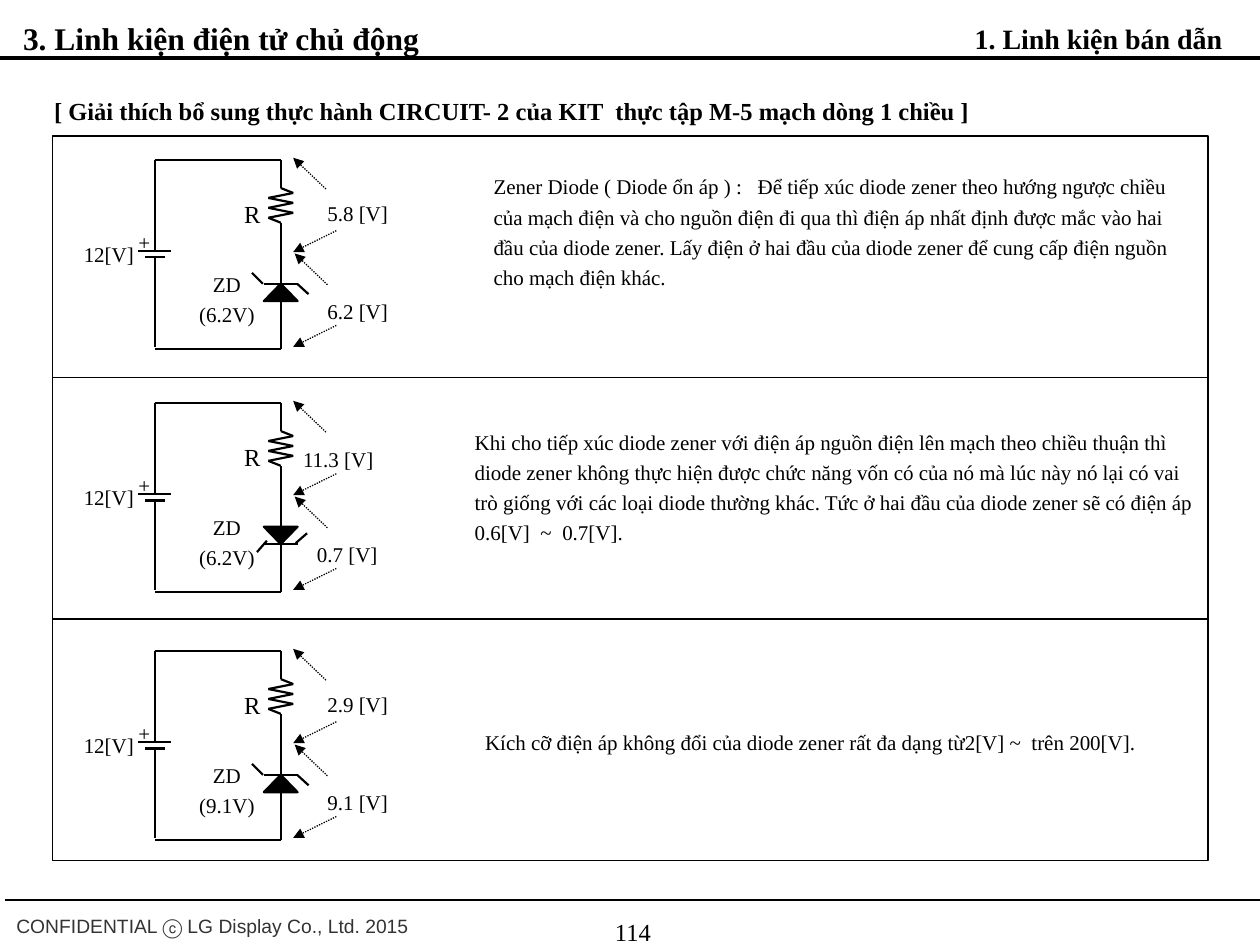
from itertools import pairwise

from pptx import Presentation
from pptx.dml.color import RGBColor
from pptx.enum.dml import MSO_LINE
from pptx.enum.shapes import MSO_CONNECTOR, MSO_SHAPE
from pptx.enum.text import MSO_ANCHOR, MSO_AUTO_SIZE, PP_ALIGN
from pptx.oxml.ns import qn
from pptx.util import Cm, Pt
from lxml.etree import SubElement

BLACK = RGBColor(0, 0, 0)
GREY = RGBColor(0x33, 0x33, 0x33)
SERIF = "Times New Roman"

# Content
TITLE = "3. Linh kiện điện tử chủ động"
TOPIC = "1. Linh kiện bán dẫn"
HEAD = "[ Giải thích bổ sung thực hành CIRCUIT- 2 của KIT  thực tập M-5 mạch dòng 1 chiều ]"
FOOT = "CONFIDENTIAL ⓒ LG Display Co., Ltd. 2015"
PAGE = "114"

# One row each: circuit top, Zener rating, flipped diode,
# voltages as (text, x, y, width), note as (text, x, y, width, height)
ROWS = [
    dict(top=3.23, zener="(6.2V)", flip=False,
         volts=[("5.8 [V]", 3.23, 0.58, 1.73), ("6.2 [V]", 3.23, 2.57, 1.73)],
         note=("Zener Diode ( Diode ổn áp ) :   Để tiếp xúc diode zener theo hướng ngược chiều "
               "của mạch điện và cho nguồn điện đi qua thì điện áp nhất định được mắc vào hai "
               "đầu của diode zener. Lấy điện ở hai đầu của diode zener để cung cấp điện nguồn "
               "cho mạch điện khác.", 9.7, 3.28, 14.66, 2.31)),
    dict(top=8.13, zener="(6.2V)", flip=True,
         volts=[("11.3 [V]", 2.74, 0.64, 1.96), ("0.7 [V]", 3.02, 2.57, 1.73)],
         note=("Khi cho tiếp xúc diode zener với điện áp nguồn điện lên mạch theo chiều thuận thì "
               "diode zener không thực hiện được chức năng vốn có của nó mà lúc này nó lại có vai "
               "trò giống với các loại diode thường khác. Tức ở hai đầu của diode zener sẽ có điện áp "
               "0.6[V]  ~  0.7[V].", 9.32, 8.43, 15.04, 2.31)),
    dict(top=13.13, zener="(9.1V)", flip=False,
         volts=[("2.9 [V]", 3.23, 0.58, 1.73), ("9.1 [V]", 3.23, 2.57, 1.73)],
         note=("Kích cỡ điện áp không đổi của diode zener rất đa dạng từ2[V] ~  trên 200[V].",
               9.53, 14.48, 14.81, 0.76)),
]

# Circuit parts in cm, measured from the top left corner of the loop
LEFT = 3.12
MID, BASE = 2.54, 3.81
WIRES = [
    [(0, 0), (0, 1.85)],
    [(0, 0), (MID, 0)],
    [(MID, 0), (MID, 0.56)],
    [(MID, 1.26), (MID, 2.49)],
    [(MID, 2.82), (MID, BASE)],
    [(0, BASE), (MID, BASE)],
    [(0, 3.76), (0, 1.93)],
    [(-0.33, 1.83), (0.33, 1.83)],
    [(-0.2, 1.96), (0.21, 1.96)],
    [(2.2, 2.49), (2.88, 2.49)],
    [(2.2, 2.84), (2.88, 2.84)],
]
SWINGS = [0, 0.25, -0.25, 0.25, -0.25, 0.25, -0.25, 0]
COIL = [(MID + swing, 0.56 + 0.1 * i) for i, swing in enumerate(SWINGS)]
HOOKS = {
    False: [[(2.87, 2.49), (3.1, 2.7)], [(2.18, 2.49), (1.96, 2.27)]],
    True: [[(2.06, 3.0), (2.26, 2.77)], [(3.07, 2.62), (2.84, 2.82)]],
}
ARROWS = [
    [(3.45, 0.58), (2.79, -0.05)],
    [(3.66, 1.42), (2.79, 1.85)],
    [(3.48, 2.51), (2.82, 1.88)],
    [(3.66, 3.33), (2.79, 3.76)],
]

deck = Presentation()
deck.slide_width, deck.slide_height = Cm(25.4), Cm(19.05)
slide = deck.slides.add_slide(deck.slide_layouts[5])
shapes = slide.shapes


def write(text, x, y, w, h, size=12, font=SERIF, color=BLACK, bold=False,
          align=PP_ALIGN.LEFT, wrap=False, box=None):
    box = box or shapes.add_textbox(0, 0, 0, 0)
    box.left, box.top, box.width, box.height = Cm(x), Cm(y), Cm(w), Cm(h)
    frame = box.text_frame
    frame.text = text
    frame.word_wrap = wrap
    frame.auto_size = MSO_AUTO_SIZE.SHAPE_TO_FIT_TEXT
    frame.vertical_anchor = MSO_ANCHOR.TOP
    for para in frame.paragraphs:
        para.alignment = align
        para.line_spacing = 1.2
        para.font.name, para.font.size = font, Pt(size)
        para.font.bold, para.font.color.rgb = bold, color


def draw(points, width=1.25, x=0, y=0, arrow=False):
    for (x1, y1), (x2, y2) in pairwise(points):
        line = shapes.add_connector(MSO_CONNECTOR.STRAIGHT, Cm(x + x1), Cm(y + y1),
                                    Cm(x + x2), Cm(y + y2))
        line.line.width = Pt(width)
        line.line.color.rgb = BLACK
        if arrow:
            line.line.dash_style = MSO_LINE.ROUND_DOT
            SubElement(line.line._get_or_add_ln(), qn("a:tailEnd"), type="triangle")
        SubElement(line._element.spPr, qn("a:effectLst"))


def add(kind, x, y, w, h, width):
    shape = shapes.add_shape(kind, Cm(x), Cm(y), Cm(w), Cm(h))
    shape.shadow.inherit = False
    shape.line.color.rgb, shape.line.width = BLACK, Pt(width)
    return shape


def build(row):
    top = row["top"]
    for wire in WIRES + [COIL] + HOOKS[row["flip"]]:
        draw(wire, x=LEFT, y=top)
    diode = add(MSO_SHAPE.ISOSCELES_TRIANGLE, LEFT + 2.2, top + 2.49, 0.68, 0.35, 1.25)
    diode.fill.solid()
    diode.fill.fore_color.rgb = BLACK
    if row["flip"]:
        diode._element.spPr.xfrm.set("flipV", "1")
    for arrow in ARROWS:
        draw(arrow, 0.75, LEFT, top, arrow=True)
    # Labels
    write("R", LEFT + 1.55, top + 0.53, 0.84, 0.84, size=14)
    write("+", LEFT - 0.58, top + 1.17, 0.76, 0.76)
    write("12[V]", LEFT - 1.68, top + 1.42, 1.52, 0.76)
    write("ZD\n" + row["zener"], LEFT + 0.64, top + 2.01, 1.63, 1.27, align=PP_ALIGN.CENTER)
    for text, x, y, w in row["volts"]:
        write(text, LEFT + x, top + y, w, 0.76)
    write(*row["note"], wrap=True)


# Header and footer
write(TITLE, 0.21, 0.1, 8.6, 1.02, size=18, bold=True, box=shapes.title)
write(TOPIC, 19.33, 0.18, 5.56, 0.94, size=16, bold=True, align=PP_ALIGN.RIGHT)
draw([(0, 1.17), (25.4, 1.17)], 2.25)
draw([(0.1, 18.14), (25.4, 18.14)], 0.75)
write(FOOT, 0.08, 18.21, 8.48, 0.76, size=11, font="Arial", color=GREY)
write(PAGE, 9.8, 18.24, 5.92, 0.81, size=14, align=PP_ALIGN.CENTER, wrap=True)
write(HEAD, 0.84, 1.7, 19.1, 0.86, size=14, bold=True)

# Frame with three equal rows
add(MSO_SHAPE.RECTANGLE, 1.06, 2.74, 23.29, 14.61, 1).fill.background()
for i in (1, 2):
    edge = 2.74 + 14.61 * i / 3
    draw([(1.06, edge), (24.35, edge)], 1)

for row in ROWS:
    build(row)

deck.save("out.pptx")
